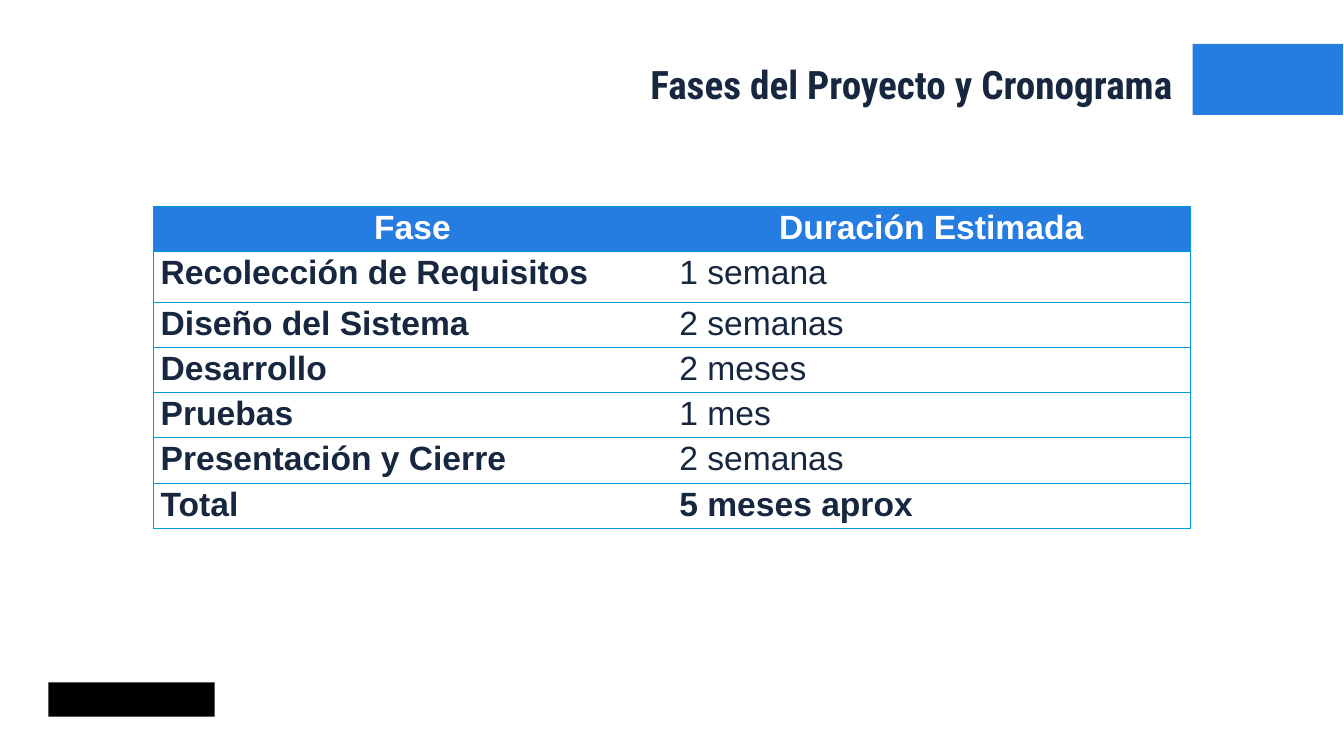
import pptx
import pptx.dml.color
import pptx.enum.shapes
import pptx.enum.text
import pptx.oxml
import pptx.oxml.ns
import pptx.util

Pt = pptx.util.Pt
RGBColor = pptx.dml.color.RGBColor
PP_ALIGN = pptx.enum.text.PP_ALIGN

BLUE = RGBColor(0x25, 0x7C, 0xE1)
NAVY = RGBColor(0x17, 0x27, 0x40)
WHITE = RGBColor(0xFF, 0xFF, 0xFF)
BLACK = RGBColor(0x00, 0x00, 0x00)
BORDER = RGBColor(0x00, 0x9C, 0xD9)

PHASES = [
    ("Fase", "Duración Estimada"),
    ("Recolección de Requisitos", "1 semana"),
    ("Diseño del Sistema", "2 semanas"),
    ("Desarrollo", "2 meses"),
    ("Pruebas", "1 mes"),
    ("Presentación y Cierre", "2 semanas"),
    ("Total", "5 meses aprox"),
]
ROW_HEIGHT = 32.25
FIRST_PHASE_HEIGHT = 36.3
COLUMN_WIDTH = 370.5

# Header accent and footer mark: left, top, width, height, color
BLOCKS = [
    (851.9, 31.4, 107.3, 50.6, BLUE),
    (34.6, 487.4, 118.8, 24.5, BLACK),
]


def format_paragraph(paragraph, font_name, size, color, bold, alignment, spacing):
    paragraph.alignment = alignment
    paragraph.line_spacing = spacing
    for run in paragraph.runs:
        run.font.name = font_name
        run.font.size = Pt(size)
        run.font.bold = bold
        run.font.color.rgb = color


def set_borders(cell, visible_sides):
    """Draw the given sides (L, R, T, B) of a cell and clear the others."""
    properties = cell._tc.get_or_add_tcPr()
    for side in "LRTB":
        fill = "<a:noFill/>"
        if side in visible_sides:
            fill = f'<a:solidFill><a:srgbClr val="{BORDER}"/></a:solidFill>'
        properties.append(pptx.oxml.parse_xml(
            f'<a:ln{side} {pptx.oxml.ns.nsdecls("a")} w="{Pt(0.75)}">{fill}</a:ln{side}>'))


presentation = pptx.Presentation()
presentation.slide_width = Pt(960)
presentation.slide_height = Pt(540)
slide = presentation.slides.add_slide(presentation.slide_layouts[6])

for left, top, width, height, color in BLOCKS:
    block = slide.shapes.add_shape(
        pptx.enum.shapes.MSO_SHAPE.RECTANGLE, Pt(left), Pt(top), Pt(width), Pt(height))
    block.shadow.inherit = False
    block.fill.solid()
    block.fill.fore_color.rgb = color
    block.line.fill.background()

title = slide.shapes.add_textbox(Pt(377), Pt(43.2), Pt(467.3), Pt(73.4))
title.text_frame.word_wrap = True
title.text_frame.text = "Fases del Proyecto y Cronograma"
format_paragraph(title.text_frame.paragraphs[0], "Roboto Condensed", 28, NAVY,
                 True, PP_ALIGN.RIGHT, 0.9)

# Schedule table
table_height = ROW_HEIGHT * (len(PHASES) - 1) + FIRST_PHASE_HEIGHT
table = slide.shapes.add_table(
    len(PHASES), 2, Pt(109.4), Pt(147.6), Pt(2 * COLUMN_WIDTH), Pt(table_height)).table
table.first_row = False
table.horz_banding = False
for column in table.columns:
    column.width = Pt(COLUMN_WIDTH)

for row_index, phase in enumerate(PHASES):
    is_header = row_index == 0
    is_total = row_index == len(PHASES) - 1
    table.rows[row_index].height = Pt(FIRST_PHASE_HEIGHT if row_index == 1 else ROW_HEIGHT)
    for column_index, text in enumerate(phase):
        cell = table.cell(row_index, column_index)
        cell.margin_left = cell.margin_right = Pt(5.4)
        cell.margin_top = cell.margin_bottom = 0
        set_borders(cell, "TB" + "LR"[column_index])
        if is_header:
            cell.fill.solid()
            cell.fill.fore_color.rgb = BLUE
        else:
            cell.fill.background()
        cell.text_frame.text = text
        paragraph = cell.text_frame.paragraphs[0]
        format_paragraph(paragraph, "Arial", 24, WHITE if is_header else NAVY,
                         is_header or is_total or column_index == 0,
                         PP_ALIGN.CENTER if is_header else PP_ALIGN.LEFT, 1.07)
        paragraph.space_after = Pt(8)

presentation.save("out.pptx")
